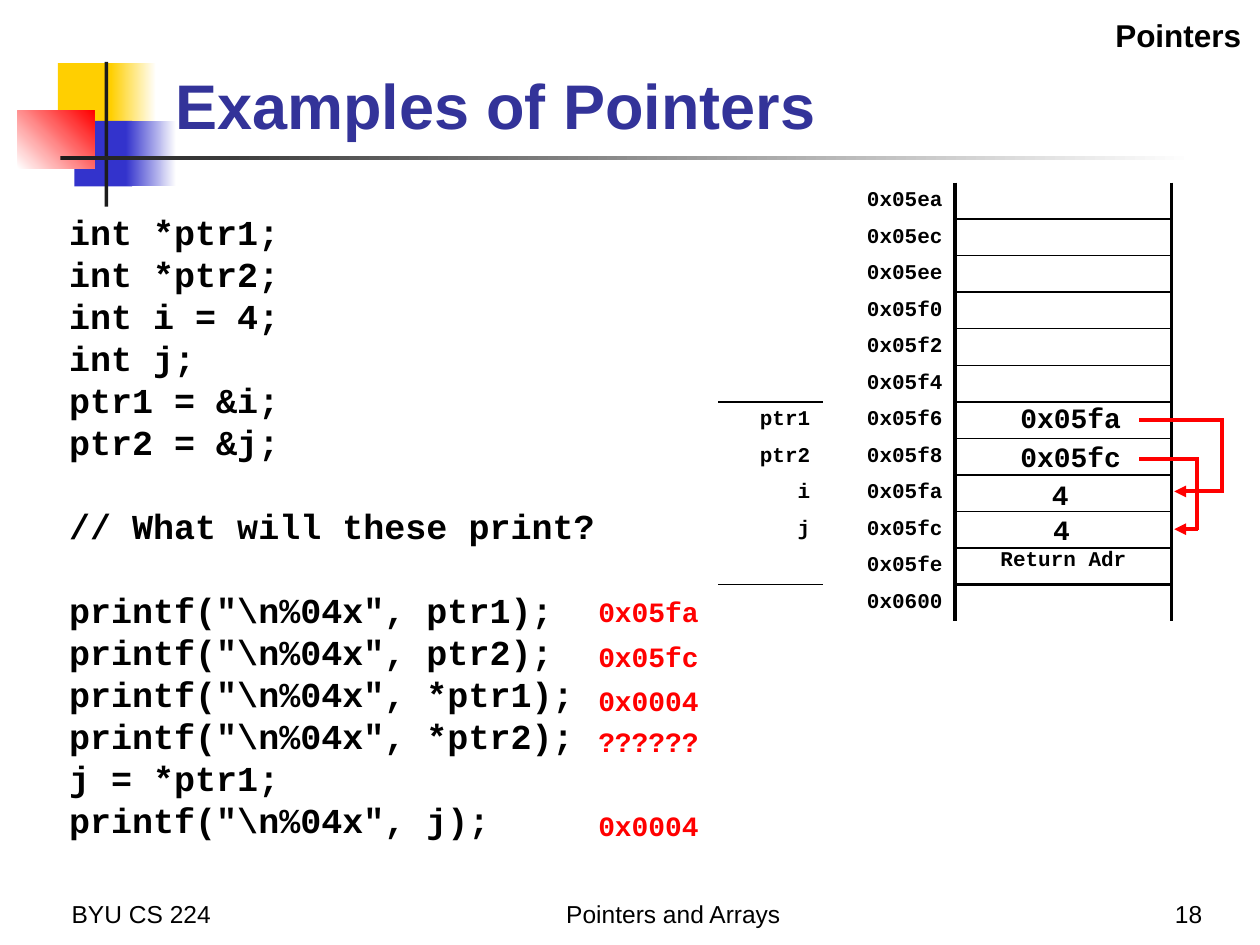
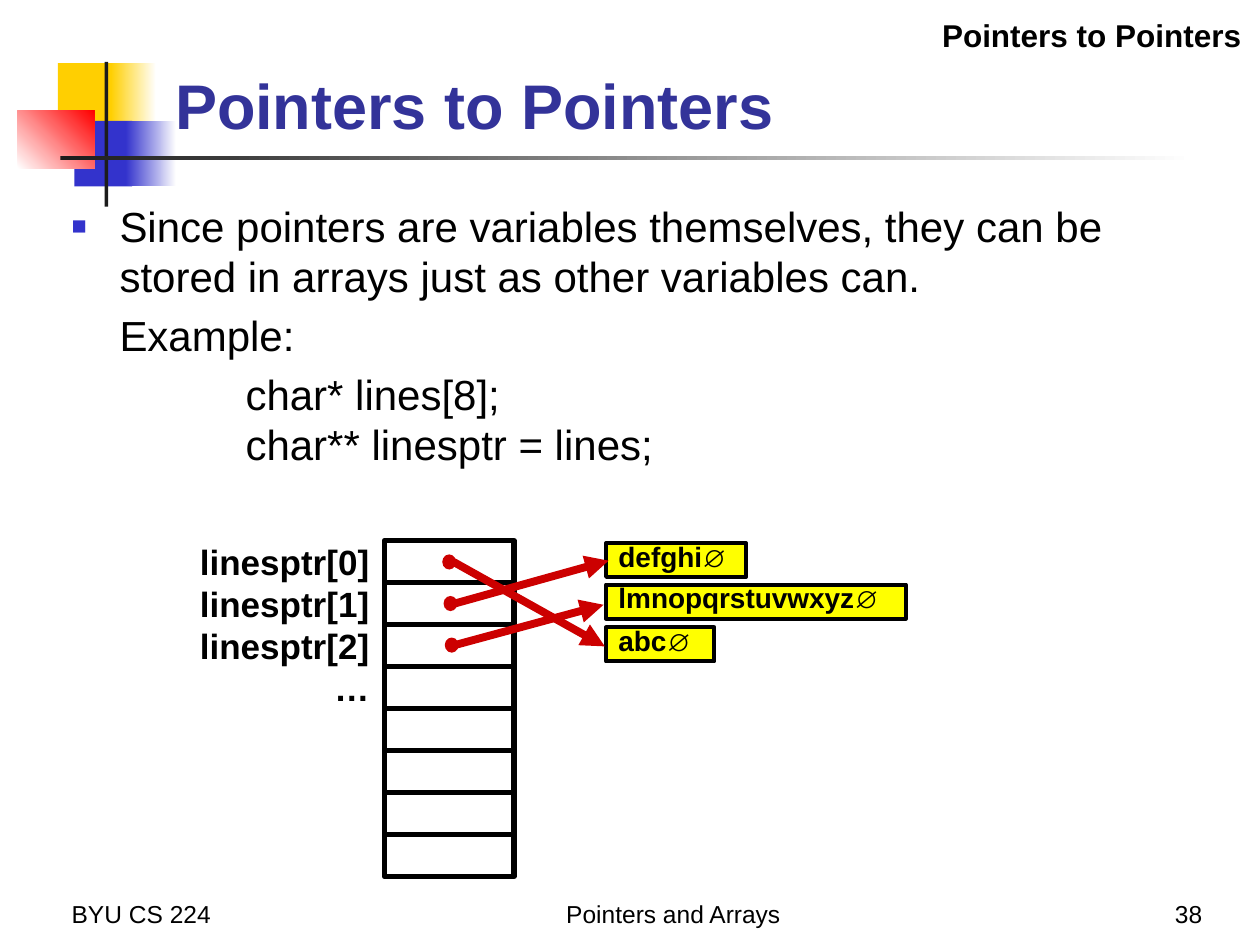
from dataclasses import dataclass

from lxml import etree
from pptx import Presentation
from pptx import util as u
from pptx.dml.color import RGBColor
from pptx.enum import shapes, text
from pptx.oxml import ns

COLORS = {
    "black": "000000", "white": "FFFFFF", "ink": "1C1C1C", "title": "333399",
    "blue": "3333CC", "gold": "FFCF01", "red": "FF0000", "crimson": "CC0000",
    "yellow": "FFFF00",
}
SANS, MONO = "Arial", "Courier New"
LEFT, CENTER, RIGHT = text.PP_ALIGN.LEFT, text.PP_ALIGN.CENTER, text.PP_ALIGN.RIGHT
TOP, MIDDLE, BOTTOM = text.MSO_ANCHOR.TOP, text.MSO_ANCHOR.MIDDLE, text.MSO_ANCHOR.BOTTOM
RECT, OVAL = shapes.MSO_SHAPE.RECTANGLE, shapes.MSO_SHAPE.OVAL


def style(name: str, size: float, color: str = "black", bold: bool = False) -> dict:
    return {"name": name, "size": u.Pt(size), "bold": bold, "color": color}


TITLE = style(SANS, 36, "title", True)
TOPIC = style(SANS, 18, bold=True)
FOOTER = style(SANS, 14)
BODY = style(SANS, 24)
CODE = style(MONO, 20, bold=True)
OUTPUT = style(MONO, 16, "red", True)
VALUE = style(MONO, 16, bold=True)
MEMORY = style(MONO, 12, bold=True)
LABEL = style(SANS, 20, bold=True)
STRING = style(SANS, 16, bold=True)
TERMINATOR = style(SANS, 14, bold=True)


@dataclass
class Box:
    left: float
    top: float
    width: float
    height: float

    def emu(self) -> list:
        return [u.Inches(v) for v in (self.left, self.top, self.width, self.height)]


@dataclass
class Decoration:
    box: Box
    color: str
    end: str = ""
    angle: float = 0


@dataclass
class Pointer:
    value: str
    corner: float
    start: float
    target: float


@dataclass
class StringBox:
    content: str
    top: float
    width: float


@dataclass
class Arrow:
    dot_left: float
    dot_top: float
    start: tuple
    end: tuple


DECORATIONS = [
    Decoration(Box(0.46, 0.5, 0.48, 0.52), "gold"),
    Decoration(Box(0.88, 0.5, 0.36, 0.52), "gold", "white"),
    Decoration(Box(0.59, 0.96, 0.46, 0.52), "blue"),
    Decoration(Box(1, 0.96, 0.4, 0.52), "blue", "white"),
    Decoration(Box(0.14, 0.88, 0.61, 0.46), "white", "red", 45),
    Decoration(Box(0.83, 0.49, 0.03, 1.15), "ink"),
    Decoration(Box(0.48, 1.24, 9, 0.03), "ink", "white"),
]
CODE_LINES = [
    "int *ptr1;", "int *ptr2;", "int i = 4;", "int j;", "ptr1 = &i;", "ptr2 = &j;",
    "// What will these print?",
    'printf("\\n%04x", ptr1);', 'printf("\\n%04x", ptr2);',
    'printf("\\n%04x", *ptr1);', 'printf("\\n%04x", *ptr2);',
    "j = *ptr1;", 'printf("\\n%04x", j);',
]
SECTION_STARTS = (6, 7)
OUTPUTS = [("0x05fa", 4.67), ("0x05fc", 5.03), ("0x0004", 5.38),
           ("??????", 5.7), ("0x0004", 6.37)]
FIRST_ADDRESS, ROWS, ROW_HEIGHT = 0x05EA, 12, 0.29
VARIABLES = {6: "ptr1", 7: "ptr2", 8: "i", 9: "j"}
RETURN_ROW = 10
POINTERS = [Pointer("0x05fc", 9.5, 3.64, 4.2), Pointer("0x05fa", 9.7, 3.33, 3.9)]
STRINGS = [StringBox("defghi", 4.31, 1.11), StringBox("abc", 4.98, 0.86),
           StringBox("lmnopqrstuvwxyz", 4.64, 2.38)]
ARROWS = [
    Arrow(3.51, 4.4, (3.6, 4.46), (4.8, 5.13)),
    Arrow(3.52, 4.73, (3.61, 4.79), (4.83, 4.45)),
    Arrow(3.53, 5.06, (3.61, 5.12), (4.79, 4.8)),
]


def rgb(name: str) -> RGBColor:
    return RGBColor.from_string(COLORS[name])


def child(parent, tag: str, **attrs):
    el = etree.SubElement(parent, ns.qn(tag))
    for key, value in attrs.items():
        el.set(key, value)
    return el


def set_font(font, fmt: dict) -> None:
    for key, value in fmt.items():
        if key == "color":
            font.color.rgb = rgb(value)
        else:
            setattr(font, key, value)


def add_run(p, content: str, fmt: dict) -> None:
    r = p.add_run()
    r.text = content
    set_font(r.font, fmt)


def add_text(s, box: Box, lines: list, fmt: dict, align=LEFT, anchor=TOP, wrap=True):
    tf = s.shapes.add_textbox(*box.emu()).text_frame
    tf.word_wrap = wrap
    tf.vertical_anchor = anchor
    for i, line in enumerate(lines):
        p = tf.paragraphs[0] if i == 0 else tf.add_paragraph()
        p.alignment = align
        add_run(p, line, fmt)
    return tf


def add_shape(s, kind, box: Box, fill: str = "", line: str = "", width: float = 0):
    sp = s.shapes.add_shape(kind, *box.emu())
    sp.shadow.inherit = False
    if fill:
        sp.fill.solid()
        sp.fill.fore_color.rgb = rgb(fill)
    else:
        sp.fill.background()
    if line:
        sp.line.color.rgb = rgb(line)
        sp.line.width = u.Pt(width)
    else:
        sp.line.fill.background()
    return sp


def add_line(s, start: tuple, end: tuple, color: str, width: float, arrow: bool = False) -> None:
    points = [u.Inches(v) for v in (*start, *end)]
    cn = s.shapes.add_connector(shapes.MSO_CONNECTOR.STRAIGHT, *points)
    cn.line.color.rgb = rgb(color)
    cn.line.width = u.Pt(width)
    if arrow:
        child(cn.line._get_or_add_ln(), "a:tailEnd", type="triangle")
    child(cn._element.spPr, "a:effectLst")


def decorate_layout(layout, s) -> None:
    for i, d in enumerate(DECORATIONS):
        sp = add_shape(s, RECT, d.box, d.color)
        if d.end:
            sp.fill.gradient()
            sp.fill.gradient_angle = d.angle
            for stop, name, pos in zip(sp.fill.gradient_stops, (d.color, d.end), (0, 1)):
                stop.color.rgb = rgb(name)
                stop.position = pos
        layout.shapes._spTree.insert(2 + i, sp._element)


def add_slide(prs, title: str, topic: str, number: int):
    s = prs.slides.add_slide(prs.slide_layouts[5])
    sp = s.shapes.title
    sp.left, sp.top, sp.width, sp.height = Box(1.29, 0.23, 8.52, 0.95).emu()
    tf = sp.text_frame
    tf.auto_size = text.MSO_AUTO_SIZE.NONE
    tf.vertical_anchor = BOTTOM
    p = tf.paragraphs[0]
    p.alignment = LEFT
    add_run(p, title, TITLE)
    add_text(s, Box(5.93, 0.08, 4.02, 0.4), [topic], TOPIC, RIGHT)
    for content, left, width, align in (("BYU CS 224", 0.47, 2.08, LEFT),
                                        ("Pointers and Arrays", 2.78, 5.13, CENTER),
                                        (str(number), 7.56, 2.08, RIGHT)):
        add_text(s, Box(left, 6.92, width, 0.5), [content], FOOTER, align, BOTTOM)
    return s


def set_borders(cell, widths: dict) -> None:
    tcPr = cell._tc.get_or_add_tcPr()
    for i, side in enumerate("LRTB"):
        ln = etree.Element(ns.qn(f"a:ln{side}"))
        if side in widths:
            ln.set("w", str(u.Pt(widths[side])))
            child(child(ln, "a:solidFill"), "a:srgbClr", val=COLORS["black"])
        else:
            child(ln, "a:noFill")
        tcPr.insert(i, ln)


def cell_borders(row: int, col: int) -> dict:
    if col == 1:
        return {"R": 2.25}
    if col == 0:
        return {5: {"B": 1}, 6: {"T": 1}, 10: {"B": 1}, 11: {"T": 1}}.get(row, {})
    widths = {"L": 2.25, "R": 2.25}
    if row > 0:
        widths["T"] = 2.25 if row == RETURN_ROW + 1 else 1
    if row < ROWS - 1:
        widths["B"] = 2.25 if row == RETURN_ROW else 1
    return widths


def add_memory_table(s) -> None:
    box = Box(5.7, 1.45, 3.6, ROWS * ROW_HEIGHT)
    table = s.shapes.add_table(ROWS, 3, *box.emu()).table
    table.first_row = table.horz_banding = False
    for column, width in zip(table.columns, (0.83, 1.05, 1.72)):
        column.width = u.Inches(width)
    for i in range(ROWS):
        table.rows[i].height = u.Inches(ROW_HEIGHT)
        contents = (VARIABLES.get(i, ""), f"0x{FIRST_ADDRESS + 2 * i:04x}",
                    "Return Adr" if i == RETURN_ROW else "")
        for j, content in enumerate(contents):
            cell = table.cell(i, j)
            cell.fill.background()
            cell.margin_top = cell.margin_bottom = u.Inches(0.01)
            cell.vertical_anchor = TOP if j == 2 else MIDDLE
            p = cell.text_frame.paragraphs[0]
            p.alignment = CENTER if j == 2 else RIGHT
            if content:
                add_run(p, content, MEMORY)
            else:
                child(p._p, "a:endParaRPr", sz="1200")
            set_borders(cell, cell_borders(i, j))


def build_examples(s) -> None:
    tf = add_text(s, Box(0.45, 1.62, 4.59, 5.1), CODE_LINES, CODE, anchor=MIDDLE, wrap=False)
    for i in SECTION_STARTS:
        tf.paragraphs[i].space_before = u.Pt(24)
    for content, top in OUTPUTS:
        add_text(s, Box(4.65, top, 1, 0.37), [content], OUTPUT, wrap=False)
    add_memory_table(s)
    for left, top in ((8.26, 4.02), (8.25, 3.74)):
        add_text(s, Box(left, top, 0.34, 0.37), ["4"], VALUE, wrap=False)
    for ptr in POINTERS:
        add_text(s, Box(8, ptr.start - 0.2, 1, 0.37), [ptr.value], VALUE, wrap=False)
        x, overlap = ptr.corner, 0.01
        add_line(s, (9.04, ptr.start), (x + overlap, ptr.start), "red", 2.25)
        add_line(s, (x, ptr.start - overlap), (x, ptr.target + overlap), "red", 2.25)
        add_line(s, (x + overlap, ptr.target), (9.32, ptr.target), "red", 2.25, True)


def build_pointers(s) -> None:
    lines = ["Since pointers are variables themselves, they can be stored in arrays "
             "just as other variables can.",
             "Example:", "char* lines[8];", "char** linesptr = lines;"]
    tf = add_text(s, Box(0.47, 1.54, 9.29, 2.47), lines, BODY)
    for p, margin, before in zip(tf.paragraphs, (0.38, 0.38, 1.38, 1.38), (0, 4.8, 4.8, 0)):
        p._p.get_or_add_pPr().set("marL", str(u.Inches(margin)))
        p.space_before = u.Pt(before)
    pPr = tf.paragraphs[0]._p.pPr
    pPr.set("indent", str(u.Inches(-0.38)))
    child(child(pPr, "a:buClr"), "a:srgbClr", val=COLORS["blue"])
    child(pPr, "a:buSzPct", val="60000")
    child(pPr, "a:buFont", typeface=SANS)
    child(pPr, "a:buChar", char="■")

    pitch = 1 / 3
    for i in range(8):
        add_shape(s, RECT, Box(3.05, 4.29 + i * pitch, 1.03, pitch), line="black", width=3)
    for i, label in enumerate(["linesptr[0]", "linesptr[1]", "linesptr[2]", "…"]):
        add_text(s, Box(1.28, 4.24 + i * pitch, 1.75, 0.43), [label], LABEL, RIGHT)
    for item in STRINGS:
        sp = add_shape(s, RECT, Box(4.81, item.top, item.width, 0.27), "yellow", "black", 2.25)
        tf = sp.text_frame
        tf.margin_top = tf.margin_bottom = 0
        tf.vertical_anchor = TOP
        p = tf.paragraphs[0]
        p.alignment = LEFT
        p.line_spacing = 0.9
        add_run(p, item.content, STRING)
        add_run(p, "∅", TERMINATOR)
    for arrow in ARROWS:
        add_shape(s, OVAL, Box(arrow.dot_left, arrow.dot_top, 0.11, 0.12), "crimson")
        add_line(s, arrow.start, arrow.end, "crimson", 4.5, True)


def main() -> None:
    prs = Presentation()
    prs.slide_width, prs.slide_height = u.Inches(10), u.Inches(7.5)
    s = add_slide(prs, "Examples of Pointers", "Pointers", 18)
    decorate_layout(s.slide_layout, s)
    build_examples(s)
    build_pointers(add_slide(prs, "Pointers to Pointers", "Pointers to Pointers", 38))
    prs.save("out.pptx")


if __name__ == "__main__":
    main()
